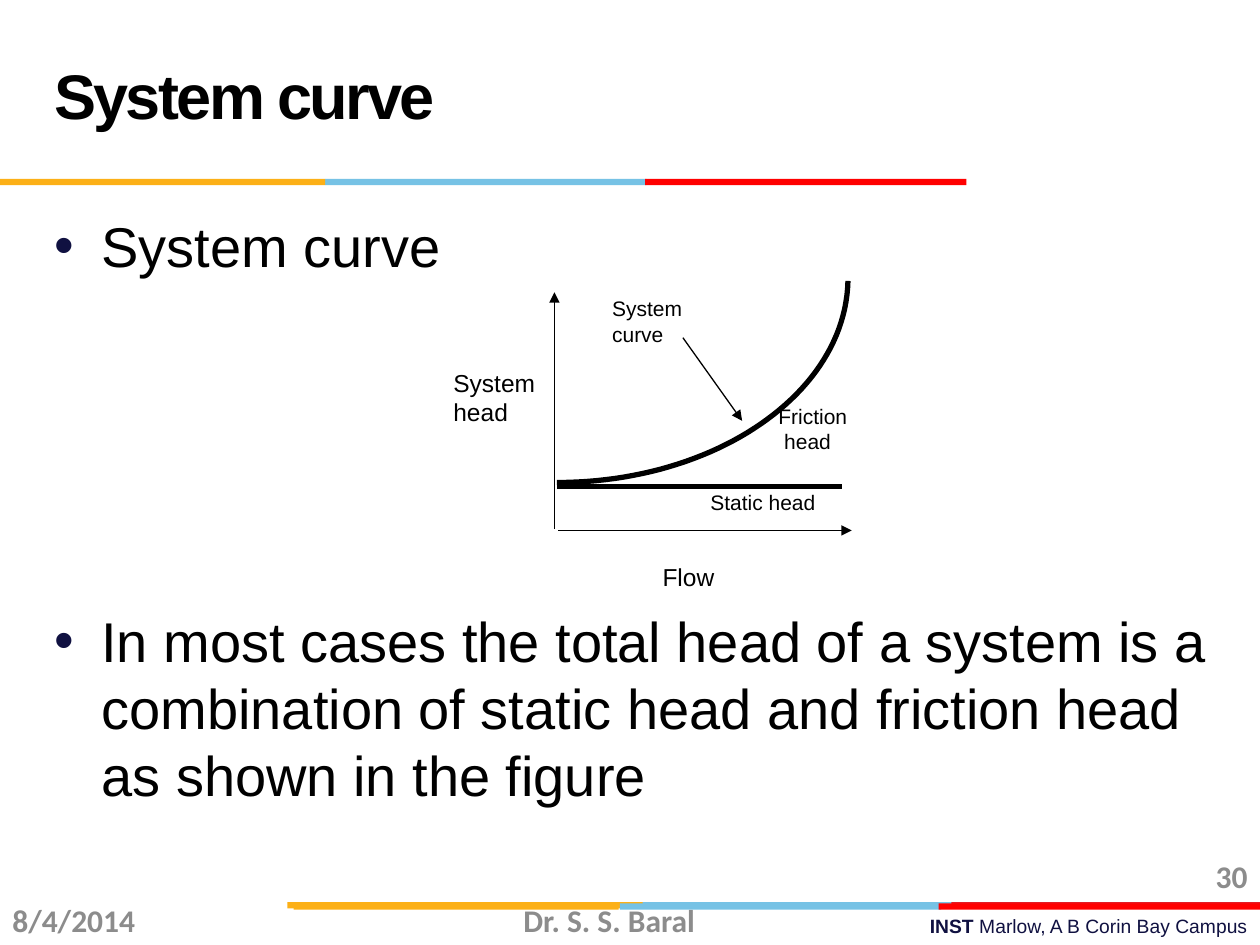
from dataclasses import dataclass

from lxml import etree
from pptx import Presentation
from pptx.dml.color import RGBColor
from pptx.enum import shapes, text
from pptx.oxml.ns import qn
from pptx.util import Inches, Pt

LEFT, CENTER, RIGHT = text.PP_ALIGN.LEFT, text.PP_ALIGN.CENTER, text.PP_ALIGN.RIGHT
TOP, MIDDLE = text.MSO_ANCHOR.TOP, text.MSO_ANCHOR.MIDDLE


@dataclass(frozen=True)
class Theme:
    font: str = "Arial"
    footer_font: str = "Calibri"
    ink: str = "000000"
    navy: str = "101141"
    grey: str = "8C8C8C"
    amber: str = "FCB017"
    sky: str = "76C2E5"
    red: str = "FF0000"
    dark_red: str = "E31C24"
    title: float = 36
    body: float = 32
    footer: float = 18
    axis: float = 14
    label: float = 12
    campus: float = 11
    thin: float = 0.75
    thick: float = 3


class SlideBuilder:
    def __init__(self, s, theme):
        self.s = s
        self.t = theme

    def run(self, p, words, size, color=None, bold=False, font=None):
        r = p.add_run()
        r.text = words
        r.font.size = Pt(size)
        r.font.name = font or self.t.font
        r.font.bold = bold
        r.font.color.rgb = RGBColor.from_string(color or self.t.ink)
        return r

    def place(self, sp, x, y, w, h):
        sp.left, sp.top, sp.width, sp.height = map(Inches, (x, y, w, h))

    def title(self, words, *box):
        sp = self.s.shapes.title
        self.place(sp, *box)
        tf = sp.text_frame
        tf.auto_size = text.MSO_AUTO_SIZE.NONE
        tf.vertical_anchor = MIDDLE
        p = tf.paragraphs[0]
        p.alignment = LEFT
        p.line_spacing = Pt(36)
        r = self.run(p, words, self.t.title, bold=True)
        r.font._element.set("spc", "-150")

    def bullets(self, items, *box):
        """Fill the body placeholder with (words, points above) items."""
        sp = self.s.placeholders[1]
        self.place(sp, *box)
        tf = sp.text_frame
        tf.auto_size = text.MSO_AUTO_SIZE.NONE
        for i, (words, above) in enumerate(items):
            p = tf.add_paragraph() if i else tf.paragraphs[0]
            p.space_before = Pt(above)
            color = etree.SubElement(p._p.get_or_add_pPr(), qn("a:buClr"))
            etree.SubElement(color, qn("a:srgbClr"), val=self.t.navy)
            self.run(p, words, self.t.body)

    def textbox(self, box, paragraphs, size, align=LEFT, anchor=TOP, **style):
        """Each paragraph is a list of (words, bold) runs."""
        tf = self.s.shapes.add_textbox(*map(Inches, box)).text_frame
        tf.word_wrap = True
        tf.vertical_anchor = anchor
        for i, runs in enumerate(paragraphs):
            p = tf.add_paragraph() if i else tf.paragraphs[0]
            p.alignment = align
            for words, bold in runs:
                self.run(p, words, size, bold=bold, **style)

    def label(self, box, lines, size):
        self.textbox(box, [[(line, False)] for line in lines], size)

    def footer(self, box, words, align):
        self.textbox(box, [[(words, True)]], self.t.footer, align, MIDDLE,
                     color=self.t.grey, font=self.t.footer_font)

    def stripe(self, y, bands):
        """Draw a colour rule from (left, width, colour) bands."""
        for x, w, color in bands:
            sp = self.s.shapes.add_shape(
                shapes.MSO_SHAPE.RECTANGLE, *map(Inches, (x, y, w, 0.05)))
            sp.shadow.inherit = False
            sp.fill.solid()
            sp.fill.fore_color.rgb = RGBColor.from_string(color)
            sp.line.fill.background()

    def stroke(self, line, width):
        line.color.rgb = RGBColor.from_string(self.t.ink)
        line.width = Pt(width)

    def line(self, start, end, width, arrow=False):
        cx = self.s.shapes.add_connector(
            shapes.MSO_CONNECTOR.STRAIGHT, *map(Inches, start + end))
        self.stroke(cx.line, width)
        if arrow:
            etree.SubElement(cx.line._get_or_add_ln(), qn("a:tailEnd"), type="triangle")
        etree.SubElement(cx._element.spPr, qn("a:effectLst"))

    def curve(self, a, b, c, d, width, steps=48):
        """Draw a cubic Bezier from a to d with control points b and c."""
        points = []
        for i in range(steps + 1):
            t = i / steps
            weights = ((1 - t) ** 3, 3 * t * (1 - t) ** 2, 3 * t * t * (1 - t), t ** 3)
            points.append(tuple(
                Inches(sum(k * q for k, q in zip(weights, axis)))
                for axis in zip(a, b, c, d)))
        fb = self.s.shapes.build_freeform(*points[0])
        fb.add_line_segments(points[1:], close=False)
        sp = fb.convert_to_shape()
        sp.shadow.inherit = False
        sp.fill.background()
        self.stroke(sp.line, width)


def main():
    prs = Presentation()
    prs.slide_width, prs.slide_height = Inches(10), Inches(7.5)
    t = Theme()
    b = SlideBuilder(prs.slides.add_slide(prs.slide_layouts[1]), t)

    b.textbox((3.58, 7.21, 6.42, 0.29),
              [[("INST ", True), ("Marlow, A B Corin Bay Campus", False)]],
              t.campus, RIGHT, color=t.navy)
    b.stripe(7.16, [(5.06, 2.55, t.sky), (7.55, 2.45, t.dark_red), (2.28, 2.82, t.amber)])
    b.stripe(7.17, [(4.92, 2.55, t.sky), (2.33, 2.58, t.amber), (7.45, 2.55, t.red)])
    b.stripe(1.42, [(2.58, 2.55, t.sky), (0, 2.58, t.amber), (5.12, 2.55, t.red)])

    b.title("System curve", 0.33, 0.17, 6.92, 1.25)
    b.bullets([
        ("System curve", 4.5),
        ("In most cases the total head of a system is a combination of "
         "static head and friction head as shown in the figure", 187),
    ], 0.33, 1.63, 9.42, 5.37)

    b.line((4.43, 4.21), (6.76, 4.21), t.thin, arrow=True)
    b.line((4.4, 4.2), (4.4, 2.32), t.thin, arrow=True)
    b.label((3.5, 2.87, 1.04, 0.64), ["System head"], t.axis)
    b.label((5.16, 4.41, 0.69, 0.38), ["Flow"], t.axis)

    b.curve((4.42, 3.83), (5.68, 3.83), (6.71, 3.12), (6.73, 2.23), t.thick)
    b.line((4.42, 3.86), (6.68, 3.86), t.thick)
    b.label((5.54, 3.84, 1.28, 0.34), ["Static head"], t.label)
    b.label((6.08, 3.15, 0.84, 0.56), ["Friction", " head"], t.label)
    b.label((4.76, 2.3, 0.85, 0.56), ["System", "curve"], t.label)
    b.line((5.42, 2.68), (5.89, 3.34), t.thin, arrow=True)

    b.footer((0, 7.1, 2.33, 0.4), "8/4/2014", LEFT)
    b.footer((7.67, 6.75, 2.33, 0.4), "30", RIGHT)
    b.footer((3.25, 7.1, 3.17, 0.4), "Dr. S. S. Baral", CENTER)
    prs.save("out.pptx")


if __name__ == "__main__":
    main()
